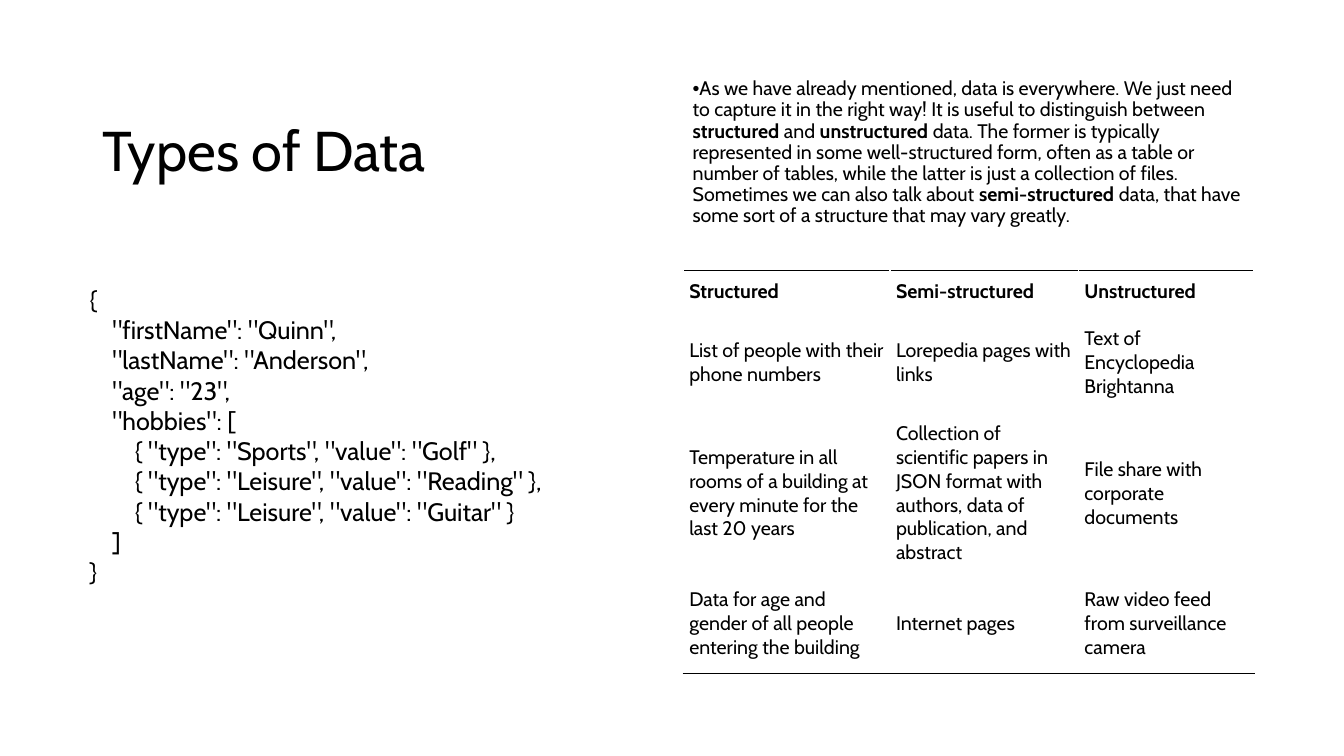
import lxml.etree
import pptx
import pptx.dml.color
import pptx.enum.text
import pptx.oxml
import pptx.oxml.ns
import pptx.util

Cm = pptx.util.Cm
Pt = pptx.util.Pt
BLACK = pptx.dml.color.RGBColor(0x00, 0x00, 0x00)
FONT = "Cabin"
MIDDLE = pptx.enum.text.MSO_ANCHOR.MIDDLE

# (text, bold) pieces of the introduction
INTRO = [
    ("As we have already mentioned, data is everywhere. We just need to capture it "
     "in the right way! It is useful to distinguish between ", False),
    ("structured", True),
    (" and ", False),
    ("unstructured", True),
    (" data. The former is typically represented in some well-structured form, often "
     "as a table or number of tables, while the latter is just a collection of files. "
     "Sometimes we can also talk about ", False),
    ("semi-structured", True),
    (" data, that have some sort of a structure that may vary greatly.", False),
]

EXAMPLES = [
    ["Structured", "Semi-structured", "Unstructured"],
    ["List of people with their phone numbers", "Lorepedia pages with links",
     "Text of Encyclopedia Brightanna"],
    ["Temperature in all rooms of a building at every minute for the last 20 years",
     "Collection of scientific papers in JSON format with authors, data of "
     "publication, and abstract",
     "File share with corporate documents"],
    ["Data for age and gender of all people entering the building", "Internet pages",
     "Raw video feed from surveillance camera"],
]
COLUMN_WIDTHS = [Cm(5.21), Cm(4.75), Cm(4.42)]
ROW_HEIGHTS = [Cm(1.19), Cm(2.39), Cm(4.19), Cm(2.39)]

JSON_SAMPLE = """{
    "firstName": "Quinn",
    "lastName": "Anderson",
    "age": "23",
    "hobbies": [
        { "type": "Sports", "value": "Golf" },
        { "type": "Leisure", "value": "Reading" },
        { "type": "Leisure", "value": "Guitar" }
    ]
}"""


def set_font(paragraph, size, bold=False):
    font = paragraph.font
    font.name, font.size, font.bold = FONT, Pt(size), bold
    font.color.rgb = BLACK


def place_placeholder(placeholder, box):
    """Move a placeholder to the box and return its first paragraph."""
    placeholder.left, placeholder.top, placeholder.width, placeholder.height = box
    frame = placeholder.text_frame
    frame.auto_size = pptx.enum.text.MSO_AUTO_SIZE.NONE
    frame.vertical_anchor = MIDDLE
    paragraph = frame.paragraphs[0]
    paragraph.alignment = pptx.enum.text.PP_ALIGN.LEFT
    paragraph.line_spacing = 0.9
    paragraph.space_before = Pt(0)
    return paragraph


def add_title(slide, box):
    heading = place_placeholder(slide.shapes.title, box)
    heading.text = "Types of Data"
    set_font(heading, 40)


def add_intro(slide, box):
    intro = place_placeholder(slide.placeholders[1], box)
    intro.space_after = Pt(6)
    # Bullet hanging from the left edge
    properties = intro._p.get_or_add_pPr()
    properties.set("marL", "0")
    properties.set("indent", str(-Cm(0.64)))
    bullet = lxml.etree.SubElement(properties, pptx.oxml.ns.qn("a:buChar"))
    bullet.set("char", "•")
    set_font(intro, 14)
    for text, bold in INTRO:
        piece = intro.add_run()
        piece.text = text
        piece.font.bold = bold


def add_rule(cell, side):
    """Draw a black 1 pt border on one side of a cell."""
    rule = pptx.oxml.parse_xml(
        f'<a:{side} {pptx.oxml.ns.nsdecls("a")} w="{Pt(1)}">'
        f'<a:solidFill><a:srgbClr val="{BLACK}"/></a:solidFill></a:{side}>')
    cell._tc.get_or_add_tcPr().insert(0, rule)


def add_examples(slide, box):
    examples = slide.shapes.add_table(len(EXAMPLES), len(EXAMPLES[0]), *box).table
    examples.first_row = examples.horz_banding = False
    for column, width in zip(examples.columns, COLUMN_WIDTHS):
        column.width = width
    for row, height in zip(examples.rows, ROW_HEIGHTS):
        row.height = height
    for r, texts in enumerate(EXAMPLES):
        for c, text in enumerate(texts):
            cell = examples.cell(r, c)
            cell.fill.background()
            cell.vertical_anchor = MIDDLE
            cell.margin_left = cell.margin_right = Cm(0.15)
            cell.margin_top, cell.margin_bottom = Cm(0.18), Cm(0.3)
            entry = cell.text_frame.paragraphs[0]
            entry.text = text
            set_font(entry, 14, bold=r == 0)
            if r == 0:
                add_rule(cell, "lnT")
            elif r == len(EXAMPLES) - 1:
                add_rule(cell, "lnB")


def add_json_sample(slide, box):
    frame = slide.shapes.add_textbox(*box).text_frame
    frame.word_wrap = True
    frame.auto_size = pptx.enum.text.MSO_AUTO_SIZE.SHAPE_TO_FIT_TEXT
    frame.text = JSON_SAMPLE
    for code_line in frame.paragraphs:
        set_font(code_line, 18)


def main():
    presentation = pptx.Presentation()
    presentation.slide_width, presentation.slide_height = Cm(33.87), Cm(19.05)
    slide = presentation.slides.add_slide(presentation.slide_layouts[1])

    # Left half: title above the code sample
    add_title(slide, (Cm(2.34), Cm(1.52), Cm(14.35), Cm(4.67)))
    add_json_sample(slide, (Cm(2.01), Cm(7.04), Cm(14.68), Cm(7.95)))

    # Right half: introduction above the table
    add_intro(slide, (Cm(17.2), Cm(1.52), Cm(14.38), Cm(4.67)))
    add_examples(slide, (Cm(17.22), Cm(6.81), sum(COLUMN_WIDTHS), sum(ROW_HEIGHTS)))

    presentation.save("out.pptx")


if __name__ == "__main__":
    main()
